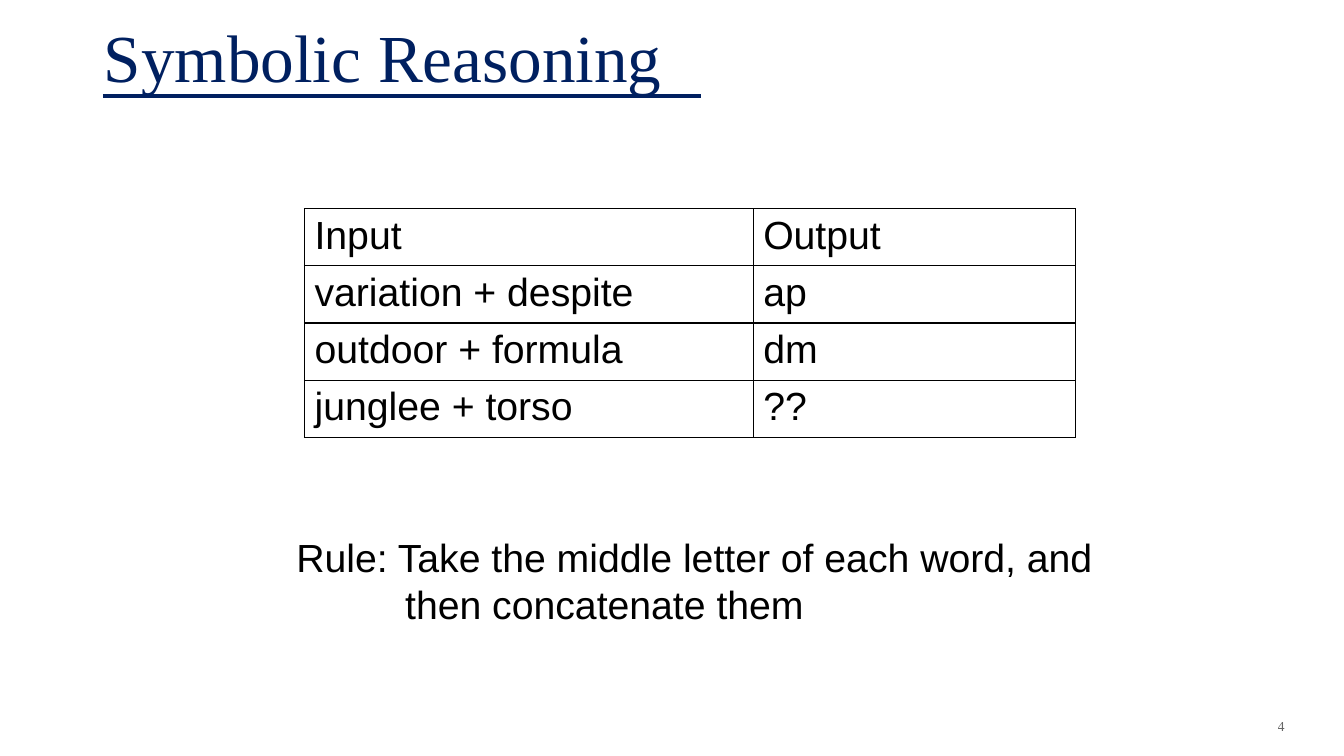
import pptx
import pptx.util
import pptx.dml.color
import pptx.enum.shapes
import pptx.enum.text
import pptx.oxml
import pptx.oxml.ns
from lxml import etree

Inches, Pt = pptx.util.Inches, pptx.util.Pt
PP_ALIGN = pptx.enum.text.PP_ALIGN
MSO_ANCHOR = pptx.enum.text.MSO_ANCHOR
qn = pptx.oxml.ns.qn

TITLE = "Symbolic Reasoning"
ROWS = [
    ("Input", "Output"),
    ("variation + despite", "ap"),
    ("outdoor + formula", "dm"),
    ("junglee + torso", "??"),
]
RULE = "Rule: Take the middle letter of each word, and\vthen concatenate them"
PAGE = "4"
NAVY, BLACK = "002060", "000000"
COL_WIDTHS = (4.45, 3.2)
ROW_HEIGHT = 0.41
RULE_INDENT = 1.08


def rgb(value):
    return pptx.dml.color.RGBColor.from_string(value)


def style(p, size, font, color):
    for r in p.runs:
        r.font.size = Pt(size)
        r.font.name = font
        r.font.color.rgb = rgb(color)


def add_text(slide, text, box, size, font):
    sp = slide.shapes.add_textbox(*map(Inches, box))
    tf = sp.text_frame
    tf.word_wrap = True
    p = tf.paragraphs[0]
    p.text = text
    style(p, size, font, BLACK)
    return tf, p


def add_borders(cell):
    tc_pr = cell._tc.get_or_add_tcPr()
    for i, side in enumerate(("lnL", "lnR", "lnT", "lnB")):
        ln = etree.Element(qn("a:" + side), w=str(Pt(1)))
        fill = etree.SubElement(ln, qn("a:solidFill"))
        etree.SubElement(fill, qn("a:srgbClr"), val=BLACK)
        tc_pr.insert(i, ln)


prs = pptx.Presentation()
prs.slide_width, prs.slide_height = Inches(13.33), Inches(7.5)
slide = prs.slides.add_slide(prs.slide_layouts[5])

line = slide.shapes.add_connector(
    pptx.enum.shapes.MSO_CONNECTOR.STRAIGHT,
    Inches(1.02), Inches(0.95), Inches(6.95), Inches(0.95))
line.line.color.rgb = rgb(NAVY)
line.line.width = Pt(2.5)
etree.SubElement(line._element.spPr, qn("a:effectLst"))

title = slide.shapes.title
title.left, title.top = Inches(0.93), Inches(-0.22)
title.width, title.height = Inches(11.53), Inches(1.22)
tf = title.text_frame
tf.text = TITLE
tf.auto_size = pptx.enum.text.MSO_AUTO_SIZE.NONE
tf.vertical_anchor = MSO_ANCHOR.BOTTOM
tf.paragraphs[0].alignment = PP_ALIGN.LEFT
style(tf.paragraphs[0], 48, "Times New Roman", NAVY)

tf, p = add_text(slide, PAGE, (10.92, 6.95, 1.92, 0.5), 10, "Times New Roman")
tf.vertical_anchor = MSO_ANCHOR.MIDDLE
p.alignment = PP_ALIGN.RIGHT
page_color = p.runs[0]._r.find(".//" + qn("a:srgbClr"))
etree.SubElement(page_color, qn("a:alpha"), val="60000")

table = slide.shapes.add_table(
    len(ROWS), len(COL_WIDTHS), Inches(3.02), Inches(2.07),
    Inches(sum(COL_WIDTHS)), Inches(ROW_HEIGHT * len(ROWS))).table
table.first_row = table.horz_banding = False
for column, width in zip(table.columns, COL_WIDTHS):
    column.width = Inches(width)
for row, texts in zip(table.rows, ROWS):
    row.height = Inches(ROW_HEIGHT)
    for cell, text in zip(row.cells, texts):
        cell.text = text
        cell.fill.background()
        add_borders(cell)
        style(cell.text_frame.paragraphs[0], 28, "Arial", BLACK)

tf, p = add_text(slide, RULE, (2.84, 5.24, 8.85, 1.04), 28, "Arial")
tf.auto_size = pptx.enum.text.MSO_AUTO_SIZE.SHAPE_TO_FIT_TEXT
p_pr = p._p.get_or_add_pPr()
p_pr.set("marL", str(Inches(RULE_INDENT)))
p_pr.set("indent", str(-Inches(RULE_INDENT)))

prs.save("out.pptx")
